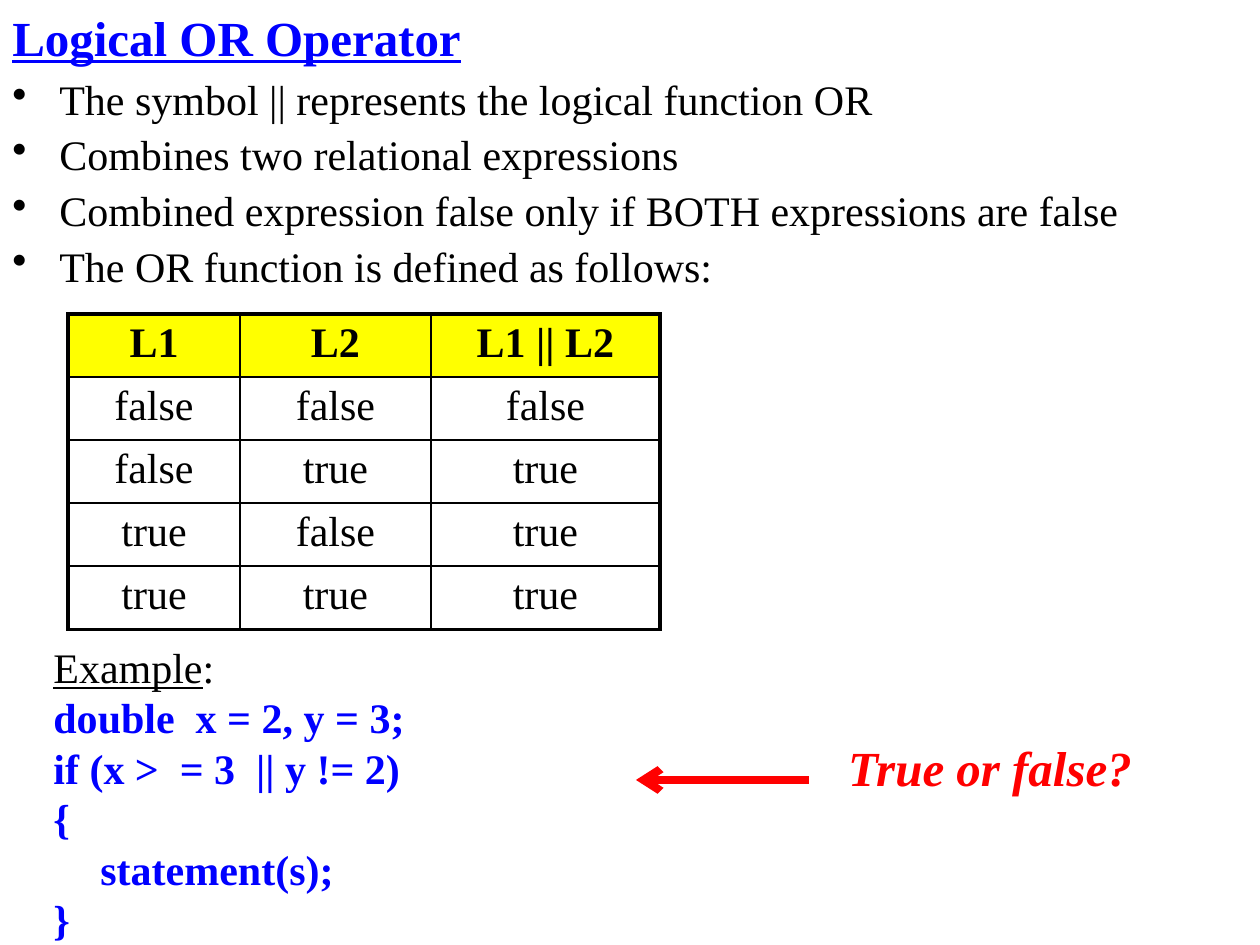
"""Build a slide that explains the logical OR operator with a truth table and an example."""
from lxml.etree import SubElement
from pptx import Presentation
from pptx.dml.color import RGBColor
from pptx.enum.shapes import MSO_CONNECTOR
from pptx.enum.text import MSO_ANCHOR, PP_ALIGN
from pptx.oxml.ns import qn
from pptx.util import Emu, Pt

SCALE = 914400 / 126
COLORS = {"blue": "0000FF", "black": "000000", "red": "FF0000", "yellow": "FFFF00", "white": "FFFFFF"}


def px(length):
    """Turn pixels into EMU."""
    return Emu(round(length * SCALE))


def add_span(para, text, size, color, bold=False, italic=False, underline=False):
    """Add one styled run to a paragraph."""
    span = para.add_run()
    span.text = text
    font = span.font
    font.name = "Times New Roman"
    font.size = Pt(size)
    font.bold, font.italic, font.underline = bold, italic, underline
    font.color.rgb = RGBColor.from_string(COLORS[color])


deck = Presentation()
deck.slide_width, deck.slide_height = px(1260), px(945)
page = deck.slides.add_slide(deck.slide_layouts[6])

frames = {}
for name, left, top, width, height in [
    ("title", 0, 0, 1071, 73),
    ("points", 0, 73, 1222, 241),
    ("example", 41, 645, 512, 300),
    ("question", 834, 731, 312, 72),
]:
    box = page.shapes.add_textbox(px(left), px(top), px(width), px(height))
    frames[name] = box.text_frame
    frames[name].word_wrap = name != "question"

frames["title"].vertical_anchor = MSO_ANCHOR.MIDDLE
add_span(frames["title"].paragraphs[0], "Logical OR Operator", 28, "blue", bold=True, underline=True)

points = [
    "The symbol || represents the logical function OR",
    "Combines two relational expressions",
    "Combined expression false only if BOTH expressions are false",
    "The OR function is defined as follows:",
]
for index, point in enumerate(points):
    para = frames["points"].add_paragraph() if index else frames["points"].paragraphs[0]
    para.line_spacing = 0.9
    para.space_before = Pt(5.8 if index else 0)
    properties = para._p.get_or_add_pPr()
    properties.set("marL", str(px(47)))
    properties.set("indent", str(px(-47)))
    SubElement(properties, qn("a:buChar"), char="•")
    add_span(para, point, 24, "black")

rows = [
    ("L1", "L2", "L1 || L2"),
    ("false", "false", "false"),
    ("false", "true", "true"),
    ("true", "false", "true"),
    ("true", "true", "true"),
]
widths = [172, 191, 229]
table = page.shapes.add_table(len(rows), len(widths), px(68), px(314), px(sum(widths)), px(59 * len(rows))).table
table.first_row = table.horz_banding = False
for column, width in zip(table.columns, widths):
    column.width = px(width)
for row_index, row in enumerate(rows):
    table.rows[row_index].height = px(59)
    for column_index, text in enumerate(row):
        cell = table.cell(row_index, column_index)
        outer = {
            "a:lnL": column_index == 0,
            "a:lnR": column_index == len(widths) - 1,
            "a:lnT": row_index == 0,
            "a:lnB": row_index == len(rows) - 1,
        }
        for side, is_outer in outer.items():
            border = SubElement(cell._tc.get_or_add_tcPr(), qn(side), w=str(Pt(2.25 if is_outer else 1)))
            SubElement(SubElement(border, qn("a:solidFill")), qn("a:srgbClr"), val=COLORS["black"])
        cell.fill.solid()
        cell.fill.fore_color.rgb = RGBColor.from_string(COLORS["white" if row_index else "yellow"])
        para = cell.text_frame.paragraphs[0]
        para.alignment = PP_ALIGN.CENTER
        add_span(para, text, 24, "black", bold=row_index == 0)

para = frames["example"].paragraphs[0]
para.line_spacing = 0.8
add_span(para, "Example", 24, "black", underline=True)
add_span(para, ":", 24, "black")
code = [
    (0, "double  x = 2, y = 3;"),
    (0, "if (x >  = 3  || y != 2)"),
    (0, "{"),
    (47, "statement(s);"),
    (0, "}"),
]
for indent, text in code:
    para = frames["example"].add_paragraph()
    para.line_spacing = 0.8
    para.space_before = Pt(5.8)
    para._p.get_or_add_pPr().set("marL", str(px(indent)))
    add_span(para, text, 24, "blue", bold=True)

arrow = page.shapes.add_connector(MSO_CONNECTOR.STRAIGHT, px(809), px(780), px(636), px(780))
arrow.line.width = Pt(4.5)
arrow.line.color.rgb = RGBColor.from_string(COLORS["red"])
SubElement(arrow.line._get_or_add_ln(), qn("a:tailEnd"), type="arrow")
SubElement(arrow._element.spPr, qn("a:effectLst"))

para = frames["question"].paragraphs[0]
para.alignment = PP_ALIGN.CENTER
add_span(para, "True or false?", 28, "red", bold=True, italic=True)

deck.save("out.pptx")
